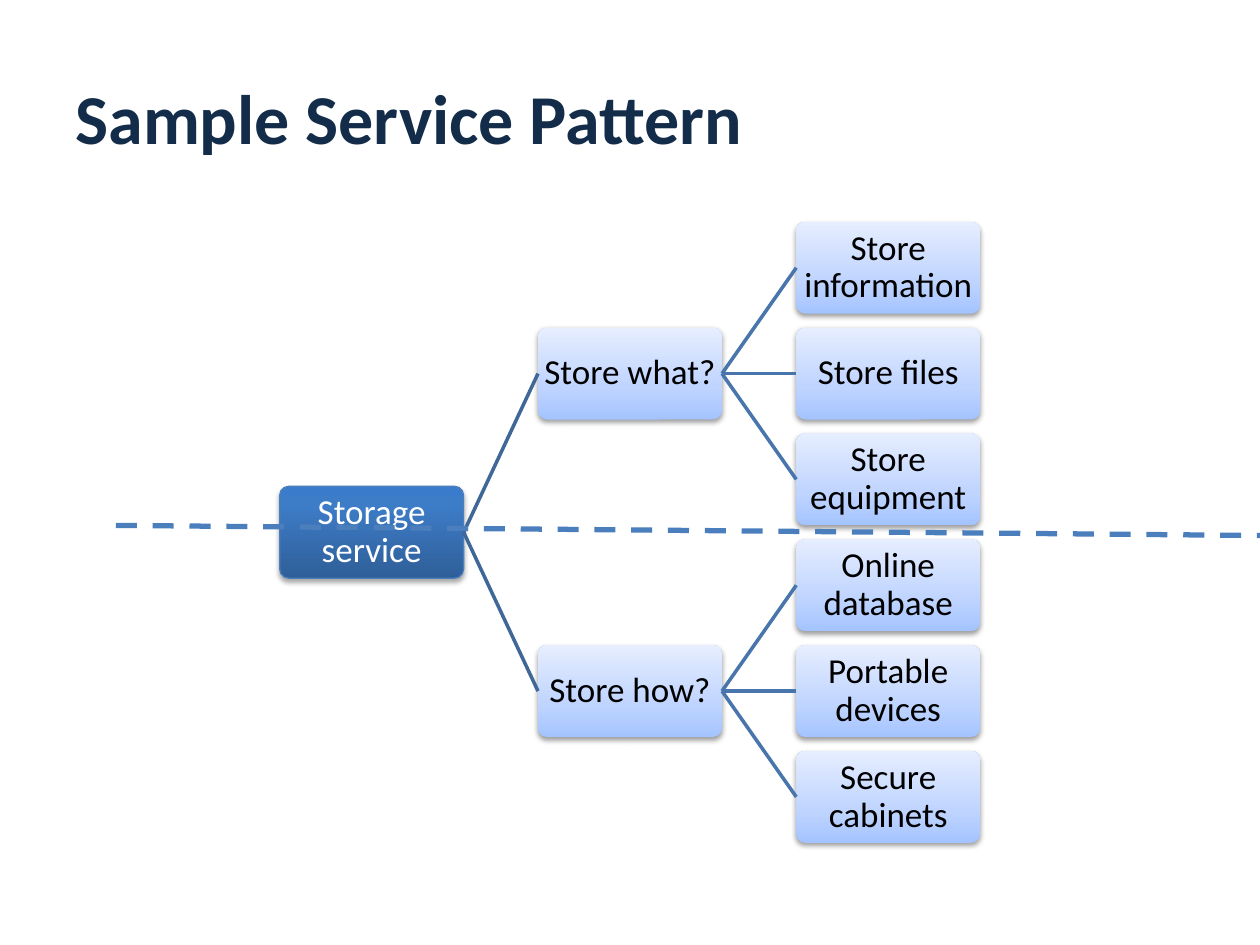
import pptx
import pptx.dml.color
import pptx.enum.dml
import pptx.enum.shapes
import pptx.enum.text
import pptx.oxml
import pptx.oxml.ns
import pptx.util
from pptx.dml.color import RGBColor
from pptx.util import Inches, Pt

TITLE = "Sample Service Pattern"
ROOT = "Storage service"
BRANCHES = [
    ("Store what?", ["Store information", "Store files", "Store equipment"]),
    ("Store how?", ["Online database", "Portable devices", "Secure cabinets"]),
]

FONT = "Calibri"
NAVY = RGBColor(0x13, 0x2C, 0x4A)
BLUE = RGBColor(0x4B, 0x7E, 0xBC)
ROOT_LINK = RGBColor(0x3F, 0x67, 0x97)
LEAF_LINK = RGBColor(0x48, 0x75, 0xAC)
WHITE = RGBColor(0xFF, 0xFF, 0xFF)
BLACK = RGBColor(0, 0, 0)

# Gradient stops run from the bottom of a box to its top: (percent, colour)
DARK = [(0, RGBColor(0x2F, 0x5F, 0x99)), (80, RGBColor(0x3D, 0x7C, 0xC7)),
        (100, RGBColor(0x3A, 0x7C, 0xCB))]
LIGHT = [(0, RGBColor(0xA4, 0xC4, 0xFF)), (35, RGBColor(0xBF, 0xD4, 0xFF)),
         (100, RGBColor(0xE6, 0xEE, 0xFF))]

LEFT, TOP = 2.22, 1.76
COLUMN_STEP, ROW_STEP = 2.05, 0.84
BOX_WIDTH, BOX_HEIGHT = 1.46, 0.73
LEFT_SIDE, RIGHT_SIDE = 1, 3
NAMESPACE = pptx.oxml.ns.nsdecls("a")


def fill_gradient(shape, stops):
    shape.fill.gradient()
    shape.fill.gradient_angle = 90
    stop_list = shape._element.spPr.find(".//" + pptx.oxml.ns.qn("a:gsLst"))
    for old in list(stop_list):
        stop_list.remove(old)
    for percent, colour in stops:
        stop_list.append(pptx.oxml.parse_xml(
            f'<a:gs {NAMESPACE} pos="{percent * 1000}">'
            f'<a:srgbClr val="{colour}"/></a:gs>'))


def add_soft_shadow(shape, opacity, distance):
    shape.shadow.inherit = False
    effects = shape._element.spPr.find(pptx.oxml.ns.qn("a:effectLst"))
    effects.append(pptx.oxml.parse_xml(
        f'<a:outerShdw {NAMESPACE} blurRad="{Pt(3.1)}" dist="{Pt(distance)}" '
        f'dir="5400000" rotWithShape="0"><a:srgbClr val="000000">'
        f'<a:alpha val="{opacity * 1000}"/></a:srgbClr></a:outerShdw>'))


def format_runs(para, size, colour, bold=False):
    for span in para.runs:
        span.font.name = FONT
        span.font.size = Pt(size)
        span.font.bold = bold
        span.font.color.rgb = colour


def add_box(page, label, column, row, root=False):
    """Place a tree node; row may be fractional."""
    box = page.shapes.add_shape(
        pptx.enum.shapes.MSO_SHAPE.ROUNDED_RECTANGLE,
        Inches(LEFT + column * COLUMN_STEP), Inches(TOP + row * ROW_STEP),
        Inches(BOX_WIDTH), Inches(BOX_HEIGHT))
    box.adjustments[0] = 0.1
    fill_gradient(box, DARK if root else LIGHT)
    if root:
        box.line.color.rgb = BLUE
        box.line.width = Pt(0.75)
        add_soft_shadow(box, 35, 1.8)
    else:
        box.line.fill.background()
        add_soft_shadow(box, 38, 1.6)
    frame = box.text_frame
    frame.word_wrap = True
    frame.vertical_anchor = pptx.enum.text.MSO_ANCHOR.MIDDLE
    frame.margin_left = frame.margin_right = Inches(0.01)
    frame.margin_top = frame.margin_bottom = Inches(0.01)
    frame.text = label
    para = frame.paragraphs[0]
    para.alignment = pptx.enum.text.PP_ALIGN.CENTER
    para.line_spacing = 0.9
    format_runs(para, 20, WHITE if root else BLACK)
    return box


def add_line(page, start, end, colour, width):
    line = page.shapes.add_connector(
        pptx.enum.shapes.MSO_CONNECTOR.STRAIGHT,
        *(Inches(value) for value in start + end))
    line.line.color.rgb = colour
    line.line.width = Pt(width)
    line._element.spPr.append(
        pptx.oxml.parse_xml(f"<a:effectLst {NAMESPACE}/>"))
    return line


def link(page, parent, child, colour):
    line = add_line(page, (0, 0), (1, 1), colour, 2)
    line.begin_connect(parent, RIGHT_SIDE)
    line.end_connect(child, LEFT_SIDE)


def main():
    deck = pptx.Presentation()
    deck.slide_width, deck.slide_height = Inches(10), Inches(7.5)
    page = deck.slides.add_slide(deck.slide_layouts[5])

    title = page.shapes.title
    title.left, title.top = Inches(0.5), Inches(0.3)
    title.width, title.height = Inches(9), Inches(1.25)
    title.text_frame.text = TITLE
    title.text_frame.vertical_anchor = pptx.enum.text.MSO_ANCHOR.MIDDLE
    para = title.text_frame.paragraphs[0]
    para.alignment = pptx.enum.text.PP_ALIGN.LEFT
    format_runs(para, 40, NAVY, bold=True)

    leaf_count = sum(len(leaves) for _, leaves in BRANCHES)
    root = add_box(page, ROOT, 0, (leaf_count - 1) / 2, root=True)
    first_row = 0
    for label, leaves in BRANCHES:
        branch = add_box(page, label, 1, first_row + (len(leaves) - 1) / 2)
        link(page, root, branch, ROOT_LINK)
        for row, leaf_label in enumerate(leaves, first_row):
            link(page, branch, add_box(page, leaf_label, 2, row), LEAF_LINK)
        first_row += len(leaves)

    divider = add_line(page, (0.92, 4.17), (10, 4.25), BLUE, 3)
    divider.line.dash_style = pptx.enum.dml.MSO_LINE.DASH

    deck.save("out.pptx")


if __name__ == "__main__":
    main()
